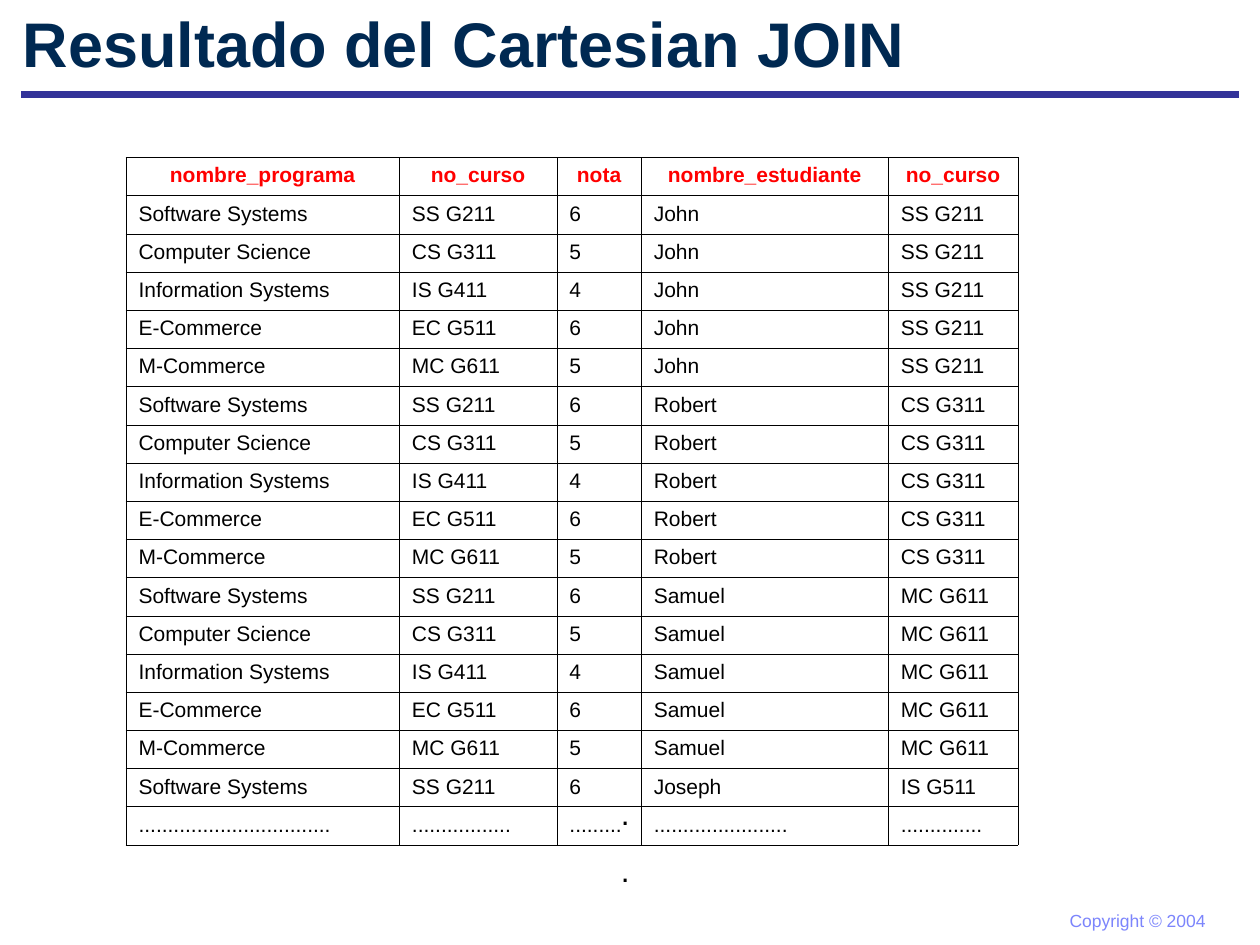
from dataclasses import dataclass
from itertools import islice, product

from lxml import etree
from pptx import Presentation
from pptx.dml.color import RGBColor
from pptx.enum.shapes import MSO_CONNECTOR
from pptx.enum.text import MSO_ANCHOR, MSO_AUTO_SIZE, PP_ALIGN
from pptx.oxml.ns import qn
from pptx.util import Inches, Pt

STRAIGHT = MSO_CONNECTOR.STRAIGHT
MIDDLE = MSO_ANCHOR.MIDDLE
NO_AUTOFIT = MSO_AUTO_SIZE.NONE
LEFT, CENTER = PP_ALIGN.LEFT, PP_ALIGN.CENTER
TITLE_ONLY = 5


@dataclass(frozen=True)
class Theme:
    font: str = "Arial"
    title: str = "002952"
    rule: str = "333399"
    footer: str = "7C85FC"
    header: str = "FF0000"
    ink: str = "000000"
    title_size: float = 36
    dots_size: float = 18
    table_size: float = 12
    footer_size: float = 10
    rule_width: float = 4.5
    border_width: float = 0.45


THEME = Theme()

# Both joined tables; the result pairs every student with every program
HEADERS = ["nombre_programa", "no_curso", "nota", "nombre_estudiante", "no_curso"]
PROGRAMS = [
    ("Software Systems", "SS G211", "6"),
    ("Computer Science", "CS G311", "5"),
    ("Information Systems", "IS G411", "4"),
    ("E-Commerce", "EC G511", "6"),
    ("M-Commerce", "MC G611", "5"),
]
STUDENTS = [
    ("John", "SS G211"),
    ("Robert", "CS G311"),
    ("Samuel", "MC G611"),
    ("Joseph", "IS G511"),
]
VISIBLE_ROWS = 16
ELLIPSIS_LENGTHS = [33, 17, 9, 23, 14]
COLUMN_WIDTHS = [2.17, 1.25, 0.67, 1.96, 1.03]
TABLE_HEIGHT = 5.46


def add_run(paragraph, text, size, color, bold=False):
    run = paragraph.add_run()
    run.text = text
    run.font.name = THEME.font
    run.font.size = Pt(size)
    run.font.bold = bold
    run.font.color.rgb = RGBColor.from_string(color)


def set_title(slide, text):
    title = slide.shapes.title
    title.left, title.top = Inches(0.08), Inches(0)
    title.width, title.height = Inches(8.5), Inches(0.67)
    frame = title.text_frame
    frame.auto_size = NO_AUTOFIT
    frame.vertical_anchor = MIDDLE
    paragraph = frame.paragraphs[0]
    paragraph.alignment = LEFT
    add_run(paragraph, text, THEME.title_size, THEME.title, bold=True)


def add_rule(slide, left, right, y):
    rule = slide.shapes.add_connector(
        STRAIGHT, Inches(left), Inches(y), Inches(right), Inches(y))
    rule.line.color.rgb = RGBColor.from_string(THEME.rule)
    rule.line.width = Pt(THEME.rule_width)
    etree.SubElement(rule._element.spPr, qn("a:effectLst"))


def add_text(slide, box, lines, size, color, wrap=True, space_before=0):
    frame = slide.shapes.add_textbox(*map(Inches, box)).text_frame
    frame.word_wrap = wrap
    for index, line in enumerate(lines):
        paragraph = frame.add_paragraph() if index else frame.paragraphs[0]
        paragraph.space_before = Pt(space_before)
        add_run(paragraph, line, size, color)


def set_borders(cell):
    properties = cell._tc.get_or_add_tcPr()
    for index, side in enumerate(("a:lnL", "a:lnR", "a:lnT", "a:lnB")):
        border = etree.Element(qn(side), w=str(Pt(THEME.border_width)))
        fill = etree.SubElement(border, qn("a:solidFill"))
        etree.SubElement(fill, qn("a:srgbClr"), val=THEME.ink)
        properties.insert(index, border)


def fill_cell(cell, text, is_header):
    cell.fill.background()
    set_borders(cell)
    paragraph = cell.text_frame.paragraphs[0]
    paragraph.alignment = CENTER if is_header else LEFT
    color = THEME.header if is_header else THEME.ink
    add_run(paragraph, text, THEME.table_size, color, bold=is_header)


def join_rows():
    pairs = islice(product(STUDENTS, PROGRAMS), VISIBLE_ROWS)
    joined = [program + student for student, program in pairs]
    return [HEADERS, *joined, ["." * length for length in ELLIPSIS_LENGTHS]]


def add_join_table(slide, left, top):
    rows = join_rows()
    table = slide.shapes.add_table(
        len(rows), len(HEADERS), Inches(left), Inches(top),
        Inches(sum(COLUMN_WIDTHS)), Inches(TABLE_HEIGHT)).table
    table.first_row = table.horz_banding = False
    for column, width in zip(table.columns, COLUMN_WIDTHS):
        column.width = Inches(width)
    for row_index, values in enumerate(rows):
        for column_index, value in enumerate(values):
            fill_cell(table.cell(row_index, column_index), value, row_index == 0)


def main():
    deck = Presentation()
    deck.slide_width, deck.slide_height = Inches(10), Inches(7.5)
    slide = deck.slides.add_slide(deck.slide_layouts[TITLE_ONLY])

    # Heading and footer
    set_title(slide, "Resultado del Cartesian JOIN")
    add_rule(slide, 0.17, 9.83, 0.75)
    add_text(slide, (8.39, 7.17, 1.28, 0.27), ["Copyright © 2004"],
             THEME.footer_size, THEME.footer, wrap=False)

    # Continuation dots and join result
    add_text(slide, (4.83, 6.25, 4.75, 0.86), [".", "."],
             THEME.dots_size, THEME.ink, space_before=11.2)
    add_join_table(slide, 1, 1.25)

    deck.save("out.pptx")


if __name__ == "__main__":
    main()
